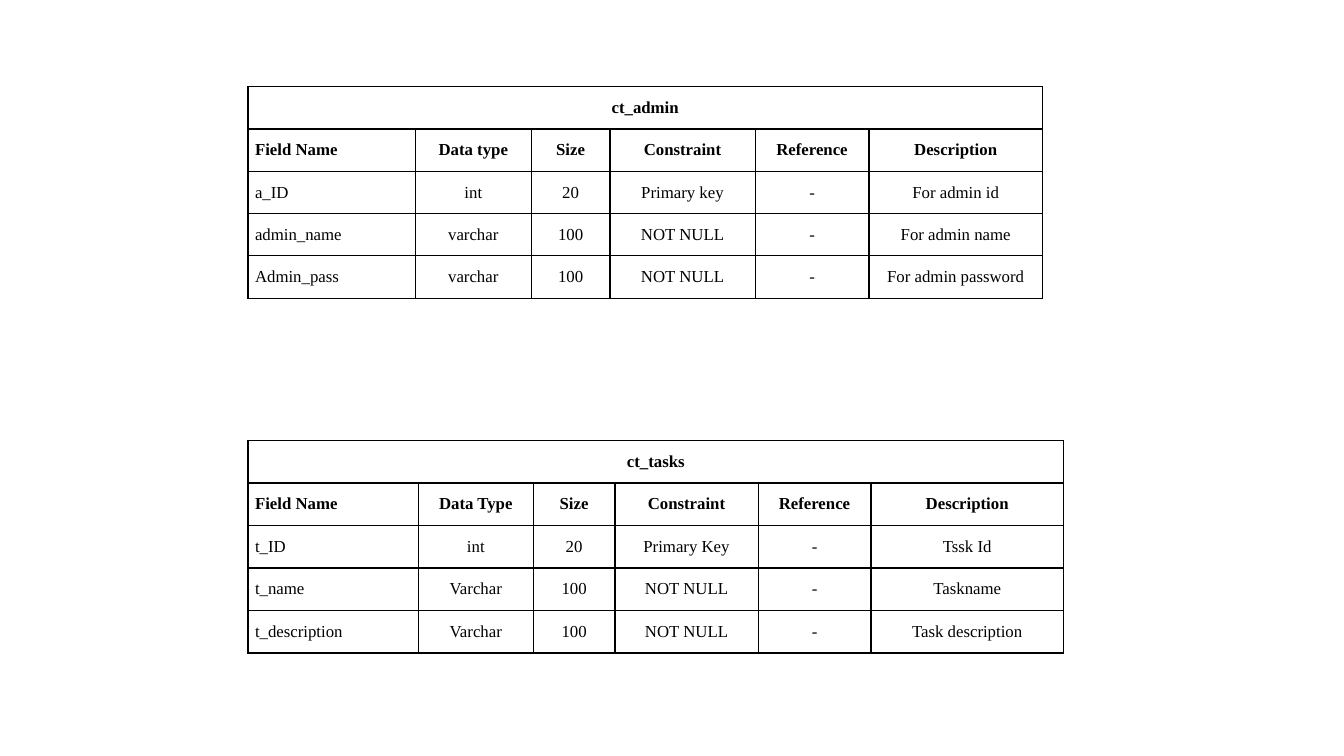
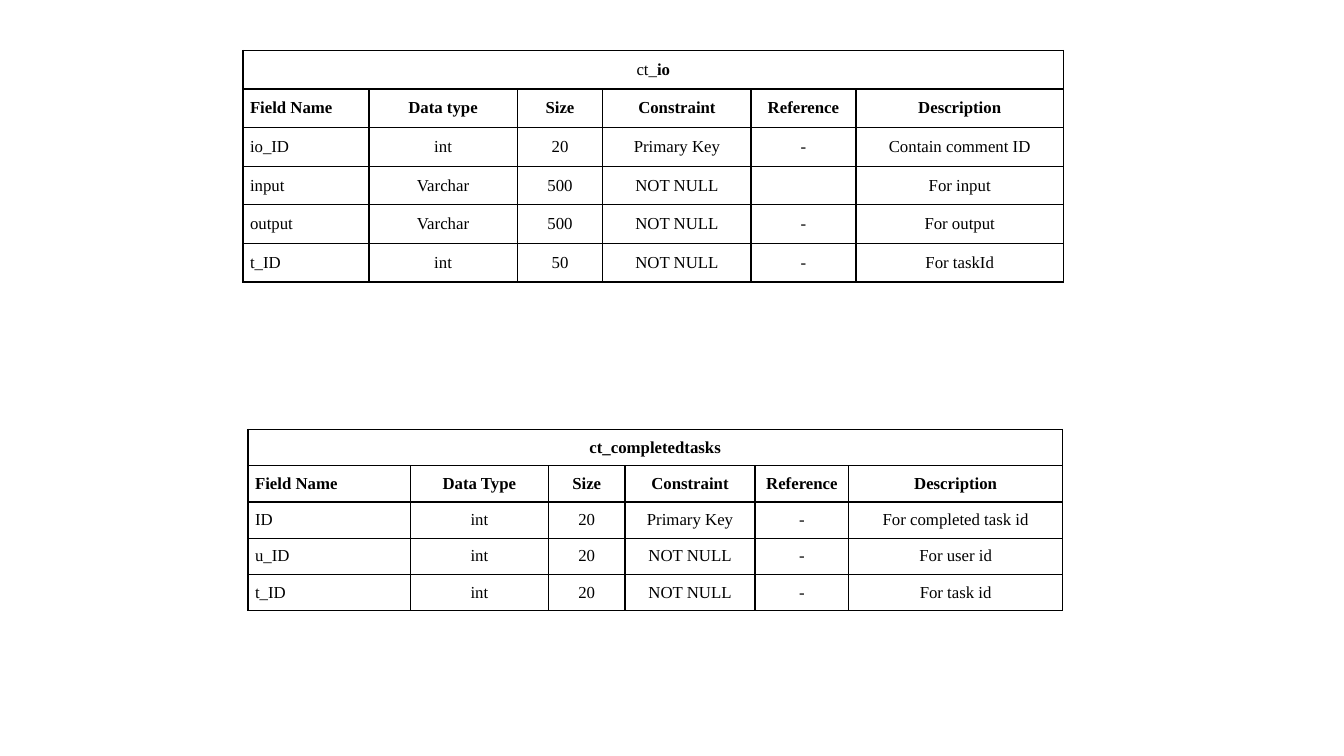
from lxml import etree
from pptx import Presentation
from pptx.dml.color import RGBColor
from pptx.enum import text
from pptx.oxml import ns
from pptx.util import Inches, Pt

INK = RGBColor(0, 0, 0)
FONT = "Times New Roman"
SIZE = Pt(12)
EDGE = Pt(1)
PAD = Inches(0.07)


def add_edges(cell):
    props = cell._tc.get_or_add_tcPr()
    for side in ("lnL", "lnR", "lnT", "lnB"):
        line = etree.SubElement(props, ns.qn(f"a:{side}"), w=str(EDGE))
        fill = etree.SubElement(line, ns.qn("a:solidFill"))
        etree.SubElement(fill, ns.qn("a:srgbClr"), val=str(INK))


def fill_cell(cell, runs, align):
    """Style a cell and add its runs, given as (words, bold) pairs."""
    add_edges(cell)
    cell.fill.background()
    cell.vertical_anchor = text.MSO_ANCHOR.MIDDLE
    cell.margin_left = cell.margin_right = PAD
    cell.margin_top = cell.margin_bottom = 0
    para = cell.text_frame.paragraphs[0]
    para.alignment = align
    para.font.size = SIZE
    for words, bold in runs:
        run = para.add_run()
        run.text = words
        font = run.font
        font.name, font.size, font.bold = FONT, SIZE, bold
        font.color.rgb = INK


def add_schema(slide, box, widths, title, head, fields):
    """Draw a titled field list; every row has an equal share of the box."""
    rows = [head, *fields]
    count = len(rows) + 1
    left, top, width, height = (Inches(n) for n in box)
    table = slide.shapes.add_table(
        count, len(widths), left, top, width, height).table
    table.first_row = table.horz_banding = False
    for col, wide in zip(table.columns, widths):
        col.width = Inches(wide)
    for row in table.rows:
        row.height = height // count

    first = table.cell(0, 0)
    first.merge(table.cell(0, len(widths) - 1))
    for c in range(len(widths)):
        fill_cell(table.cell(0, c), [] if c else title,
                  text.PP_ALIGN.CENTER)
    for r, row in enumerate(rows, 1):
        for c, words in enumerate(row):
            align = text.PP_ALIGN.CENTER if c else text.PP_ALIGN.LEFT
            runs = [(words, r == 1)] if words else []
            fill_cell(table.cell(r, c), runs, align)


def header(kind):
    return ("Field Name", kind, "Size", "Constraint", "Reference",
            "Description")


SLIDES = [
    [
        ((2.46, 0.86, 7.88, 2.1), (1.66, 1.15, 0.78, 1.44, 1.13, 1.72),
         [("ct_admin", True)], header("Data type"), [
            ("a_ID", "int", "20", "Primary key", "-", "For admin id"),
            ("admin_name", "varchar", "100", "NOT NULL", "-",
             "For admin name"),
            ("Admin_pass", "varchar", "100", "NOT NULL", "-",
             "For admin password"),
        ]),
        ((2.46, 4.37, 8.09, 2.11), (1.69, 1.14, 0.81, 1.42, 1.12, 1.91),
         [("ct_tasks", True)], header("Data Type"), [
            ("t_ID", "int", "20", "Primary Key", "-", "Tssk Id"),
            ("t_name", "Varchar", "100", "NOT NULL", "-", "Taskname"),
            ("t_description", "Varchar", "100", "NOT NULL", "-",
             "Task description"),
        ]),
    ],
    [
        ((2.41, 0.5, 8.13, 2.3), (1.25, 1.47, 0.85, 1.47, 1.04, 2.06),
         [("ct_", False), ("io", True)], header("Data type"), [
            ("io_ID", "int", "20", "Primary Key", "-",
             "Contain comment ID"),
            ("input", "Varchar", "500", "NOT NULL", "", "For input"),
            ("output", "Varchar", "500", "NOT NULL", "-", "For output"),
            ("t_ID", "int", "50", "NOT NULL", "-", "For taskId"),
        ]),
        ((2.46, 4.26, 8.09, 1.8), (1.61, 1.37, 0.76, 1.29, 0.93, 2.12),
         [("ct_completedtasks", True)], header("Data Type"), [
            ("ID", "int", "20", "Primary Key", "-",
             "For completed task id"),
            ("u_ID", "int", "20", "NOT NULL", "-", "For user id"),
            ("t_ID", "int", "20", "NOT NULL", "-", "For task id"),
        ]),
    ],
]


def main():
    deck = Presentation()
    deck.slide_width, deck.slide_height = Inches(13.33), Inches(7.5)
    for schemas in SLIDES:
        slide = deck.slides.add_slide(deck.slide_layouts[6])
        for schema in schemas:
            add_schema(slide, *schema)
    deck.save("out.pptx")


if __name__ == "__main__":
    main()
